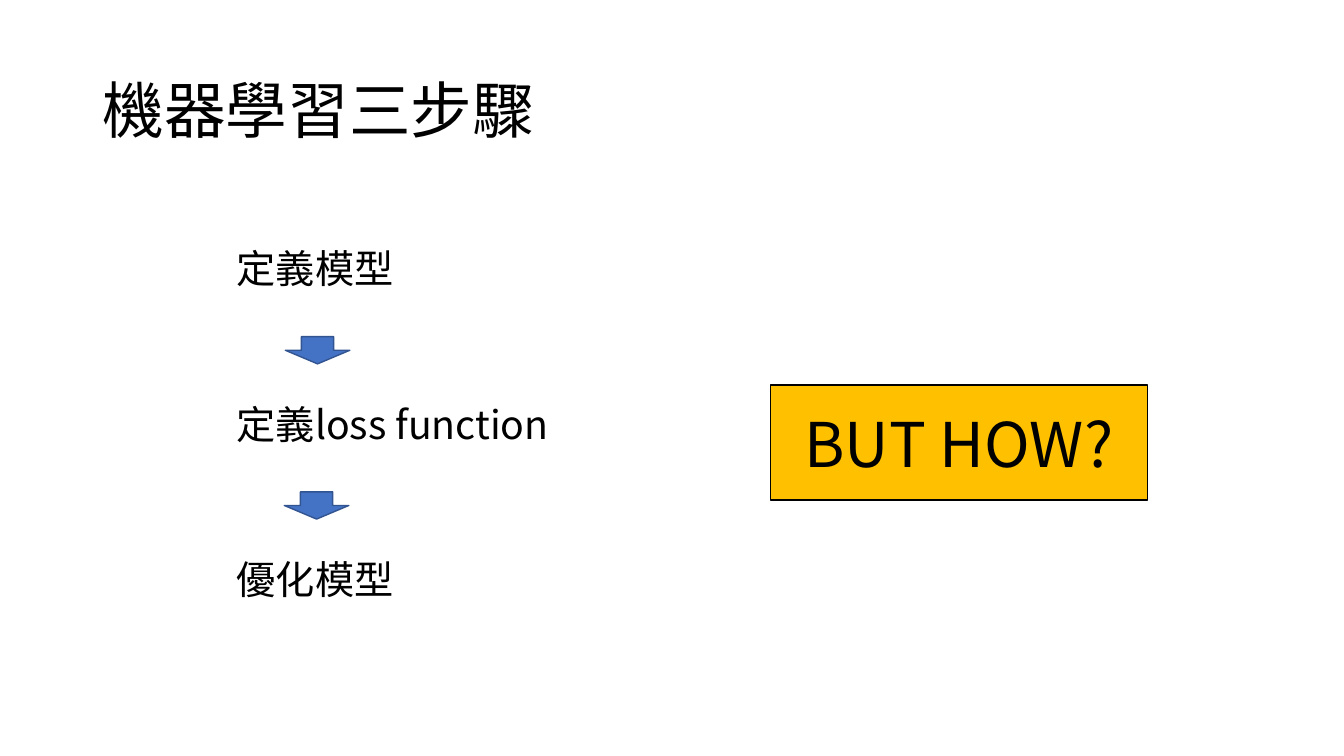
import lxml.etree
import pptx
import pptx.dml.color
import pptx.enum.shapes
import pptx.enum.text
import pptx.oxml.ns
import pptx.util

Inches = pptx.util.Inches
Shapes = pptx.enum.shapes.MSO_SHAPE
Anchor = pptx.enum.text.MSO_ANCHOR
Align = pptx.enum.text.PP_ALIGN


def color(value):
    return pptx.dml.color.RGBColor.from_string(value)


def apply(target, values):
    for name, value in values.items():
        setattr(target, name, value)


class SlideBuilder:
    font_name = "Noto Sans CJK SC"
    text_color = "000000"

    def __init__(self, slide):
        self.slide = slide

    def fill_text(self, shape, text, size, frame_format, paragraph_format):
        frame = shape.text_frame
        apply(frame, {"word_wrap": True, **frame_format})
        paragraph = frame.paragraphs[0]
        apply(paragraph, paragraph_format)
        run = paragraph.add_run()
        run.text = text
        apply(run.font, {"size": pptx.util.Pt(size), "name": self.font_name})
        run.font.color.rgb = color(self.text_color)
        properties = run._r.get_or_add_rPr()
        east_asian = lxml.etree.SubElement(properties, pptx.oxml.ns.qn("a:ea"))
        east_asian.set("typeface", self.font_name)

    def text(self, box, text, size, anchor=Anchor.TOP, space_before=0):
        shape = self.slide.shapes.add_textbox(*map(Inches, box))
        spacing = {"line_spacing": 0.9, "space_before": pptx.util.Pt(space_before)}
        self.fill_text(shape, text, size, {"vertical_anchor": anchor}, spacing)

    def shape(self, kind, box, fill, line):
        shape = self.slide.shapes.add_shape(kind, *map(Inches, box))
        shape.shadow.inherit = False
        shape.fill.solid()
        shape.fill.fore_color.rgb = color(fill)
        shape.line.color.rgb = color(line)
        shape.line.width = pptx.util.Pt(1)
        return shape

    def callout(self, box, text, size, fill, line):
        shape = self.shape(Shapes.RECTANGLE, box, fill, line)
        self.fill_text(shape, text, size, {"vertical_anchor": Anchor.MIDDLE}, {"alignment": Align.CENTER})


def main():
    presentation = pptx.Presentation()
    apply(presentation, {"slide_width": Inches(13.33), "slide_height": Inches(7.5)})
    builder = SlideBuilder(presentation.slides.add_slide(presentation.slide_layouts[6]))

    builder.text((0.92, 0.4, 11.5, 1.45), "機器學習三步驟", 44, Anchor.MIDDLE)

    step_pitch = 1.54
    for index, step in enumerate(["定義模型", "定義loss function", "優化模型"]):
        builder.text((2.25, 2.43 + index * step_pitch, 4.07, 0.55), step, 28, space_before=10)

    builder.callout((7.64, 3.82, 3.74, 1.14), "BUT HOW?", 44, "FFC000", "000000")

    for index, left in enumerate([2.83, 2.82]):
        arrow_box = (left, 3.34 + index * step_pitch, 0.64, 0.27)
        builder.shape(Shapes.DOWN_ARROW, arrow_box, "4472C4", "325491")

    presentation.save("out.pptx")


if __name__ == "__main__":
    main()
